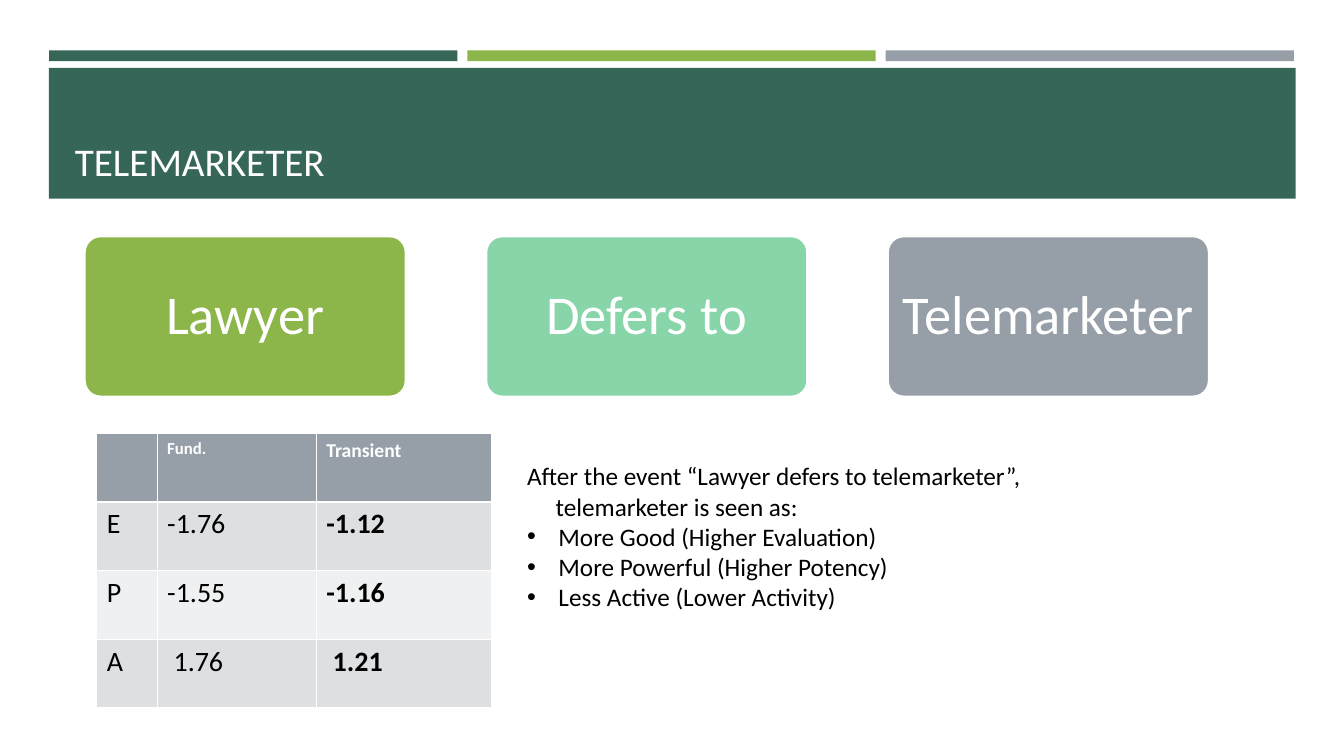
from lxml import etree
from pptx import Presentation
from pptx import util as u
from pptx.dml.color import RGBColor
from pptx.enum import shapes, text
from pptx.oxml.ns import qn

DARK_GREEN = RGBColor(0x36, 0x66, 0x58)
GREEN = RGBColor(0x8C, 0xB6, 0x4A)
MINT = RGBColor(0x88, 0xD5, 0xA9)
GREY = RGBColor(0x96, 0x9F, 0xA7)
BAND_DARK = RGBColor(0xDD, 0xDF, 0xE1)
BAND_LIGHT = RGBColor(0xEF, 0xF0, 0xF1)
TITLE_WHITE = RGBColor(0xFF, 0xFE, 0xFF)
WHITE = RGBColor(0xFF, 0xFF, 0xFF)
BLACK = RGBColor(0, 0, 0)
FONT = "Calibri"

# Content
TITLE = "TELEMARKETER"
BAR_COLORS = [DARK_GREEN, GREEN, GREY]
CARDS = [("Lawyer", GREEN), ("Defers to", MINT), ("Telemarketer", GREY)]
# Each line: text, left margin in cm, bulleted
FINDINGS = [
    ("After the event “Lawyer defers to telemarketer”,", 0, False),
    ("telemarketer is seen as:", 0.72, False),
    ("More Good (Higher Evaluation)", 0.79, True),
    ("More Powerful (Higher Potency)", 0.79, True),
    ("Less Active (Lower Activity)", 0.79, True),
]
RATINGS = [
    ("", "Fund.", "Transient"),
    ("E", "-1.76", "-1.12"),
    ("P", "-1.55", "-1.16"),
    ("A", " 1.76", " 1.21"),
]
HEADER_SIZES = [12, 12, 14]
COLUMN_WIDTHS = [1.52, 4.01, 4.42]
ROW_HEIGHT = 1.73


def write(paragraph, words, *, size, color, bold=False,
          align=text.PP_ALIGN.LEFT, spacing=1.0):
    paragraph.alignment = align
    paragraph.line_spacing = spacing
    paragraph.space_before = paragraph.space_after = u.Pt(0)
    run = paragraph.add_run()
    run.text = words
    run.font.name = FONT
    run.font.size = u.Pt(size)
    run.font.bold = bold
    run.font.color.rgb = color


def add_block(slide, kind, left, top, width, height, color):
    shape = slide.shapes.add_shape(
        kind, u.Cm(left), u.Cm(top), u.Cm(width), u.Cm(height))
    shape.shadow.inherit = False
    shape.fill.solid()
    shape.fill.fore_color.rgb = color
    shape.line.fill.background()
    return shape


def place(shape, left, top, width, height):
    shape.left, shape.top = u.Cm(left), u.Cm(top)
    shape.width, shape.height = u.Cm(width), u.Cm(height)


def set_bullet(paragraph, margin, bulleted):
    properties = paragraph._p.get_or_add_pPr()
    properties.set("marL", str(u.Cm(margin)))
    properties.set("indent", str(-u.Cm(margin) if bulleted else 0))
    if bulleted:
        etree.SubElement(properties, qn("a:buFont"), typeface="Arial")
        etree.SubElement(properties, qn("a:buChar"), char="•")
    else:
        etree.SubElement(properties, qn("a:buNone"))


def main():
    presentation = Presentation()
    presentation.slide_width = u.Cm(33.87)
    presentation.slide_height = u.Cm(19.05)
    slide = presentation.slides.add_slide(presentation.slide_layouts[1])
    title, body = slide.placeholders
    rectangle = shapes.MSO_SHAPE.RECTANGLE

    # Top bars and title band
    for index, color in enumerate(BAR_COLORS):
        add_block(slide, rectangle, 1.24 + index * 10.54, 1.27, 10.29, 0.27, color)
    band = add_block(slide, rectangle, 1.23, 1.71, 31.42, 3.3, DARK_GREEN)

    # Title, brought in front of its band
    place(title, 1.63, 1.96, 30.63, 2.82)
    title.text_frame.vertical_anchor = text.MSO_ANCHOR.BOTTOM
    write(title.text_frame.paragraphs[0], TITLE, size=28, color=TITLE_WHITE)
    band._element.addnext(title._element)

    # Event cards
    for index, (words, color) in enumerate(CARDS):
        card = add_block(slide, shapes.MSO_SHAPE.ROUNDED_RECTANGLE,
                         2.13 + index * 10.12, 5.95, 8.1, 4.05, color)
        card.adjustments[0] = 0.1
        card.line.color.rgb = WHITE
        card.line.width = u.Pt(1.75)
        frame = card.text_frame
        frame.margin_left = frame.margin_right = u.Cm(0.2)
        frame.vertical_anchor = text.MSO_ANCHOR.MIDDLE
        write(frame.paragraphs[0], words, size=39, color=WHITE,
              align=text.PP_ALIGN.CENTER, spacing=0.9)

    # Findings
    place(body, 13.03, 11.48, 13.3, 4.11)
    frame = body.text_frame
    frame.vertical_anchor = text.MSO_ANCHOR.TOP
    for index, (words, margin, bulleted) in enumerate(FINDINGS):
        paragraph = frame.add_paragraph() if index else frame.paragraphs[0]
        write(paragraph, words, size=18, color=BLACK)
        set_bullet(paragraph, margin, bulleted)

    # Ratings table
    table = slide.shapes.add_table(
        len(RATINGS), len(COLUMN_WIDTHS), u.Cm(2.44), u.Cm(10.92),
        u.Cm(sum(COLUMN_WIDTHS)), u.Cm(ROW_HEIGHT * len(RATINGS))).table
    for column, width in zip(table.columns, COLUMN_WIDTHS):
        column.width = u.Cm(width)
    for r, row in enumerate(RATINGS):
        table.rows[r].height = u.Cm(ROW_HEIGHT)
        header = r == 0
        fill = GREY if header else BAND_DARK if r % 2 else BAND_LIGHT
        for c, words in enumerate(row):
            cell = table.cell(r, c)
            cell.fill.solid()
            cell.fill.fore_color.rgb = fill
            if words:
                write(cell.text_frame.paragraphs[0], words,
                      size=HEADER_SIZES[c] if header else 20,
                      color=WHITE if header else BLACK,
                      bold=header or c == 2)

    presentation.save("out.pptx")


if __name__ == "__main__":
    main()
